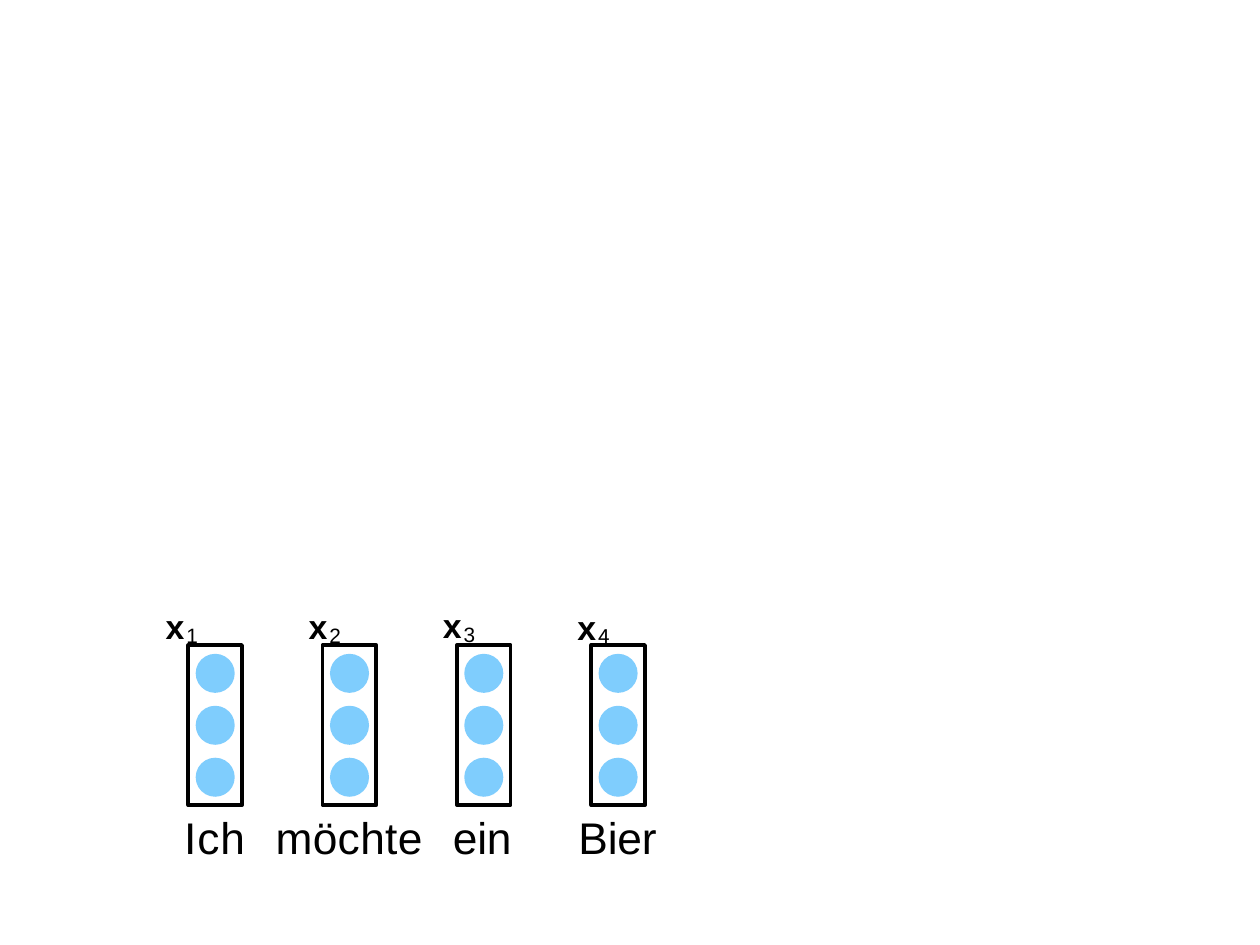
import pptx
import pptx.util
import pptx.dml.color
import pptx.enum.shapes
import pptx.oxml
import pptx.oxml.ns
from lxml import etree

Cm = pptx.util.Cm
Pt = pptx.util.Pt
KIND = pptx.enum.shapes.MSO_SHAPE
COLORS = {"ink": "000000", "dot": "009CFD"}
WORDS = [
    ("Ich", -0.15, 1.83, 0.7, -0.68, 0),
    ("möchte", -1.38, 4.32, 0.3, -0.43, 0),
    ("ein", -0.15, 1.78, -0.1, -0.43, -0.03),
    ("Bier", -0.4, 2.34, -0.1, -0.43, 0.03),
]


def color(name):
    """Return the named colour."""
    return pptx.dml.color.RGBColor.from_string(COLORS[name])


def add_text(slide, left, top, width, height, inset, runs):
    """Add a one-line text box and return its paragraph."""
    box = slide.shapes.add_textbox(Cm(left), Cm(top), Cm(width), Cm(height))
    frame = box.text_frame
    frame.word_wrap = True
    frame.margin_left = Cm(0.03)
    frame.margin_top = Cm(inset)
    frame.margin_right = frame.margin_bottom = 0
    line = frame.paragraphs[0]
    for text, size, face, bold, gap, base in runs:
        run = line.add_run()
        run.text = text
        run.font.size = Pt(size)
        run.font.name = face
        run.font.bold = bold
        run.font.color.rgb = color("ink")
        props = run.font._element
        props.set("spc", str(round(gap * 100)))
        if base:
            props.set("baseline", str(base * 1000))
    return line


def add_dot(slide, left, top, size):
    """Add one half-transparent dot."""
    dot = slide.shapes.add_shape(KIND.OVAL, Cm(left), Cm(top), Cm(size), Cm(size))
    dot.shadow.inherit = False
    dot.fill.solid()
    dot.fill.fore_color.rgb = color("dot")
    dot.line.fill.background()
    tint = dot._element.spPr.find(".//" + pptx.oxml.ns.qn("a:srgbClr"))
    etree.SubElement(tint, pptx.oxml.ns.qn("a:alpha"), val="50000")


def add_vector(slide, left, top, width, height):
    """Add a framed column of three dots."""
    frame = slide.shapes.add_shape(
        KIND.RECTANGLE, Cm(left), Cm(top), Cm(width), Cm(height))
    frame.shadow.inherit = False
    frame.fill.background()
    frame.line.color.rgb = color("ink")
    frame.line.width = Pt(3)
    etree.SubElement(frame.line._get_or_add_ln(), pptx.oxml.ns.qn("a:round"))
    size, pitch = 1.12, 1.49
    for row in range(3):
        add_dot(slide, left + (width - size) / 2, top + 0.25 + row * pitch, size)


def add_input(slide, left, top, width, height, index):
    """Add one word with its vector and its symbol."""
    word, shift, span, gap, side, lift = WORDS[index]
    add_vector(slide, left, top, width, height)
    last = index == len(WORDS) - 1
    face = "Noto Sans CJK TC" if last else "Arial"
    add_text(slide, left + side, top - 1.3 + lift, 1.07, 1.24, 0.1, [
        ("x", 27.5, "Arial", True, 1.6, 0),
        (str(index + 1), 29.2, face, False, 2.9 if last else 0.4, -11),
    ])
    line = add_text(slide, left + shift, top + height + 0.4, span, 1.35, 0,
                    [(word, 36, "Arial", False, gap, 0)])
    line.line_spacing = Pt(35.9)


def main():
    """Build and save the slide."""
    deck = pptx.Presentation()
    deck.slide_width = Cm(36.12)
    deck.slide_height = Cm(27.1)
    slide = deck.slides.add_slide(deck.slide_layouts[6])
    for index in range(len(WORDS)):
        add_input(slide, 5.4 + index * 3.85, 18.5, 1.54, 4.59, index)
    deck.save("out.pptx")


if __name__ == "__main__":
    main()
